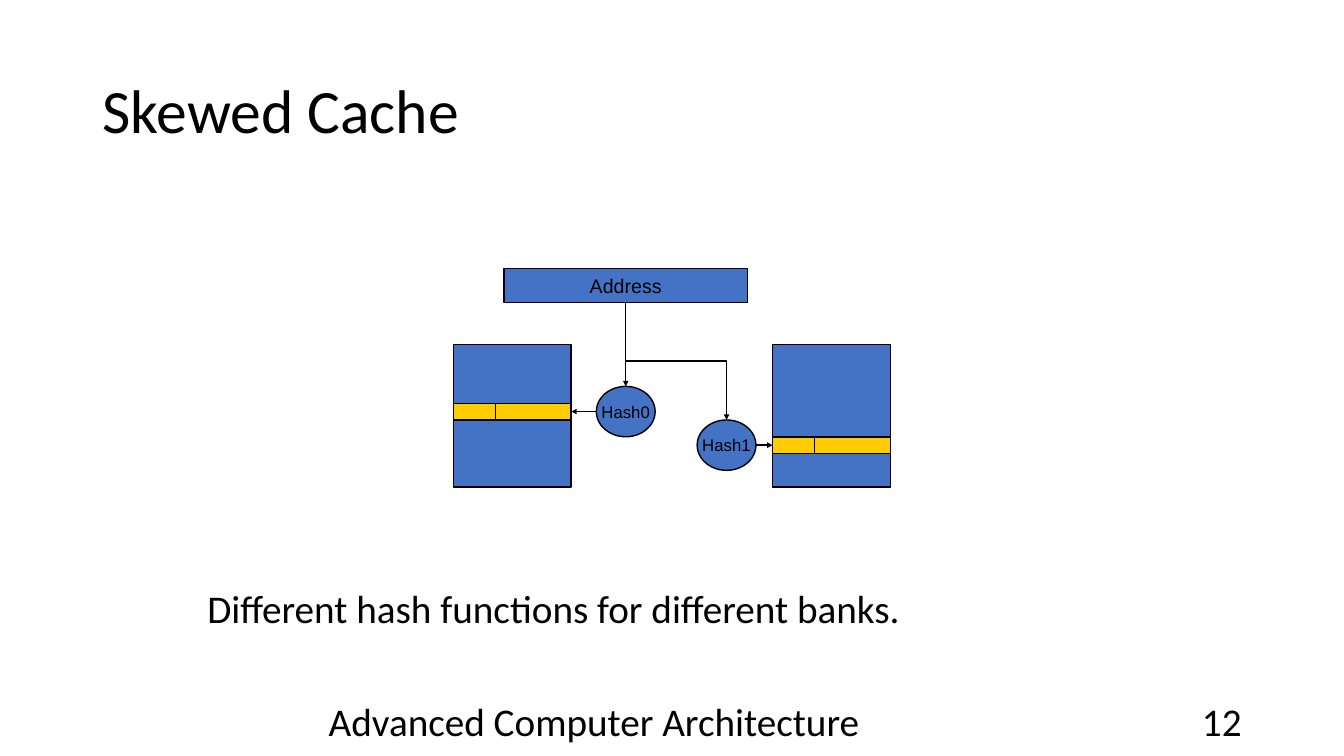
from dataclasses import dataclass

from lxml import etree
from pptx import Presentation
from pptx.dml.color import RGBColor
from pptx.enum import shapes as es, text as et
from pptx.oxml.ns import qn
from pptx.util import Pt

BLACK = RGBColor(0, 0, 0)
BLUE = RGBColor(0x44, 0x72, 0xC4)
GOLD = RGBColor(0xFF, 0xCC, 0x00)

RECT = es.MSO_SHAPE.RECTANGLE
OVAL = es.MSO_SHAPE.OVAL
LINE = es.MSO_CONNECTOR.STRAIGHT
ELBOW = es.MSO_CONNECTOR.ELBOW
LEFT, MID, RIGHT = et.PP_ALIGN.LEFT, et.PP_ALIGN.CENTER, et.PP_ALIGN.RIGHT

BANK_TOP, BANK_W, BANK_H = 246, 84, 102
ROW_H, TAG_W = 12, 30


@dataclass
class Box:
    x: float
    y: float
    w: float
    h: float
    fill: RGBColor = BLUE
    kind: int = RECT
    label: str = ""
    size: int = 12


@dataclass
class Arrow:
    x1: float
    y1: float
    x2: float
    y2: float
    kind: int = LINE
    turn: int = 0


@dataclass
class Note:
    x: float
    y: float
    w: float
    h: float
    words: str
    align: int
    anchor: int = et.MSO_ANCHOR.MIDDLE
    wrap: bool = True


def bank(x: float, row: float) -> list[Box]:
    """Cache bank with one selected row, split into tag and data."""
    return [Box(x, BANK_TOP, BANK_W, BANK_H),
            Box(x, row, BANK_W, ROW_H, GOLD),
            Box(x, row, TAG_W, ROW_H, GOLD)]


def write(frame, words: str, size: int, font: str, align: int) -> None:
    frame.text = words
    para = frame.paragraphs[0]
    para.alignment = align
    face = para.runs[0].font
    face.size, face.name = Pt(size), font
    face.color.rgb = BLACK


def draw_box(slide, box: Box) -> None:
    shape = slide.shapes.add_shape(
        box.kind, Pt(box.x), Pt(box.y), Pt(box.w), Pt(box.h))
    shape.shadow.inherit = False
    shape.fill.solid()
    shape.fill.fore_color.rgb = box.fill
    shape.line.color.rgb = BLACK
    shape.line.width = Pt(1)
    if box.label:
        frame = shape.text_frame
        frame.word_wrap = False
        frame.vertical_anchor = et.MSO_ANCHOR.MIDDLE
        write(frame, box.label, box.size, "Arial", MID)


def draw_arrow(slide, arrow: Arrow) -> None:
    link = slide.shapes.add_connector(
        arrow.kind, Pt(arrow.x1), Pt(arrow.y1), Pt(arrow.x2), Pt(arrow.y2))
    link.line.color.rgb = BLACK
    link.line.width = Pt(1)
    props = link._element.spPr
    if arrow.turn:
        props.find(qn("a:xfrm")).set("rot", str(arrow.turn * 60000))
    etree.SubElement(props.find(qn("a:ln")), qn("a:tailEnd"),
                     type="triangle", w="sm", len="sm")
    etree.SubElement(props, qn("a:effectLst"))


def draw_note(slide, note: Note) -> None:
    shape = slide.shapes.add_textbox(
        Pt(note.x), Pt(note.y), Pt(note.w), Pt(note.h))
    frame = shape.text_frame
    frame.word_wrap = note.wrap
    frame.vertical_anchor = note.anchor
    write(frame, note.words, 28, "Calibri", note.align)


def set_title(slide, words: str) -> None:
    title = slide.shapes.title
    title.left, title.top = Pt(66), Pt(28.75)
    title.width, title.height = Pt(828), Pt(104.5)
    title.text_frame.vertical_anchor = et.MSO_ANCHOR.MIDDLE
    write(title.text_frame, words, 44, "Calibri", LEFT)
    title.text_frame.paragraphs[0].line_spacing = 0.9


BOXES = [
    *bank(324, 288),
    *bank(552, 312),
    Box(360, 192, 174, 24, label="Address", size=14),
    Box(426, 276, 42, 36, kind=OVAL, label="Hash0"),
    Box(498, 300, 42, 36, kind=OVAL, label="Hash1"),
]
ARROWS = [
    Arrow(447, 216, 447, 276),
    Arrow(426, 294, 408, 294),
    # Turned about its centre, this runs from (447, 216) to (519, 300)
    Arrow(525, 222, 441, 294, ELBOW, 270),
    Arrow(540, 318, 552, 318),
]
NOTES = [
    Note(206.5, 500.5, 435.5, 28.75, "Advanced Computer Architecture", MID),
    Note(678, 500.5, 216, 28.75, "12", RIGHT),
    Note(141, 413.5, 528.5, 41, "Different hash functions for different banks.",
         LEFT, et.MSO_ANCHOR.TOP, False),
]


def main() -> None:
    deck = Presentation()
    deck.slide_width, deck.slide_height = Pt(960), Pt(540)
    slide = deck.slides.add_slide(deck.slide_layouts[5])
    set_title(slide, "Skewed Cache")
    for box in BOXES:
        draw_box(slide, box)
    for arrow in ARROWS:
        draw_arrow(slide, arrow)
    for note in NOTES:
        draw_note(slide, note)
    deck.save("out.pptx")


if __name__ == "__main__":
    main()
